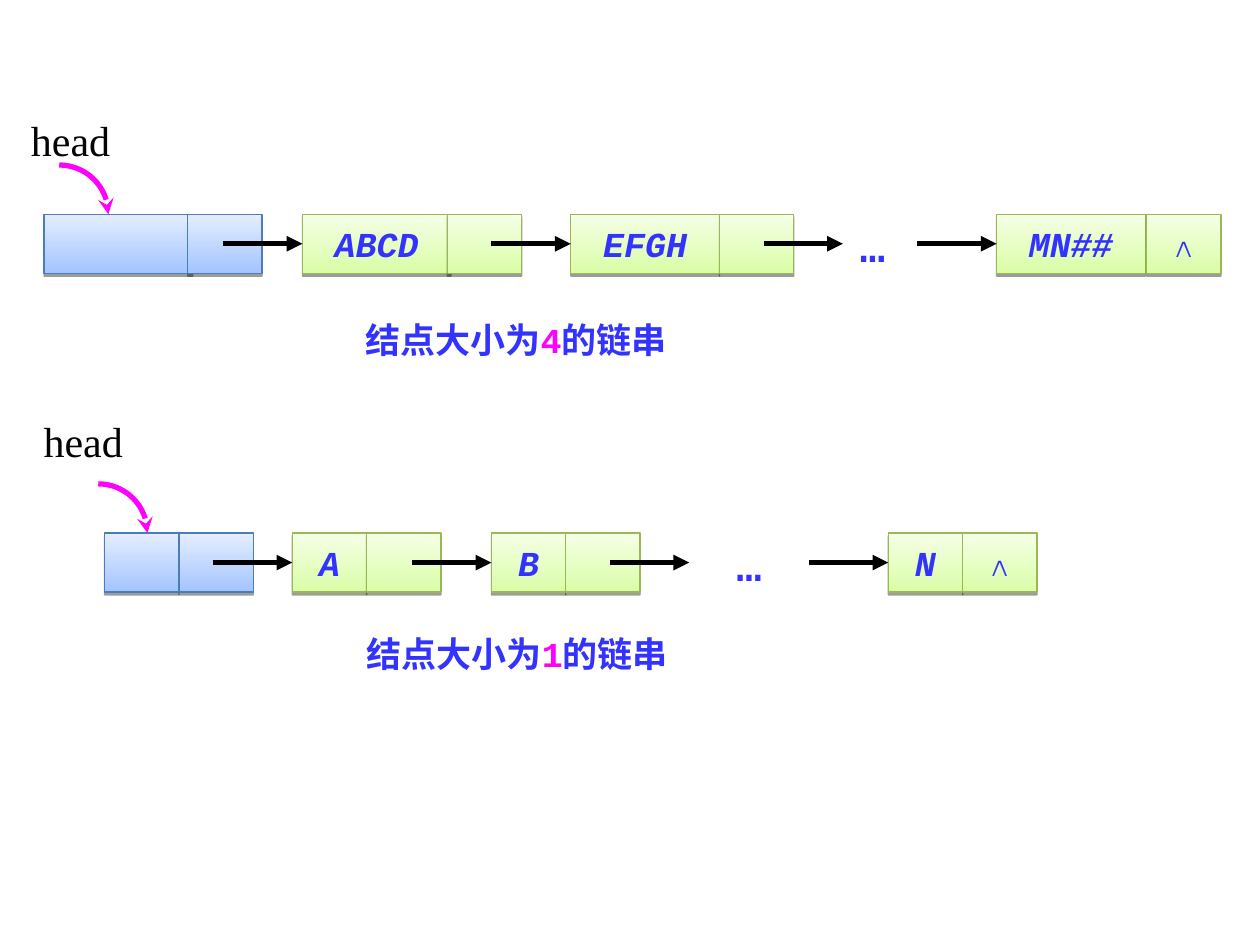
from math import cos, pi, sin

from lxml.etree import SubElement
from pptx import Presentation
from pptx.dml.color import RGBColor
from pptx.enum.shapes import MSO_CONNECTOR, MSO_SHAPE
from pptx.enum.text import MSO_ANCHOR, MSO_AUTO_SIZE, PP_ALIGN
from pptx.oxml.ns import qn
from pptx.util import Inches, Pt

COLORS = {
    "ink": "3333FF", "accent": "FF00FF", "label": "040404", "arrow": "000000",
    "head": ("A3C4FF", "E5EEFF", "4A7EBB"),
    "node": ("DAFDA7", "F5FFE6", "98B954"),
}
CODE, SERIF = "Courier New", "Times New Roman"
WIDTH, HEIGHT = Inches(10), Inches(7.5)
COLUMN, ROW = WIDTH / 10, HEIGHT / 7.5
CELL_HEIGHT, LINK_WIDTH = 0.47, 0.59
ARROW_LENGTH, CURVE_SIZE = 0.63, 0.39


def cols(count):
    return round(count * COLUMN)


def rows(count):
    return round(count * ROW)


def rgb(name):
    return RGBColor.from_string(COLORS.get(name, name))


def add_span(para, text, size, color="ink", font=CODE, bold=True, italic=False):
    span = para.add_run()
    span.text = text
    span.font.name, span.font.size = font, Pt(size)
    span.font.bold, span.font.italic = bold, italic
    span.font.color.rgb = rgb(color)


def add_text_box(page, left, top, width, height, align=PP_ALIGN.CENTER):
    """Add an empty wrapping box and return its paragraph."""
    box = page.shapes.add_textbox(cols(left), rows(top), cols(width), rows(height))
    box.text_frame.word_wrap = True
    box.text_frame.auto_size = MSO_AUTO_SIZE.SHAPE_TO_FIT_TEXT
    para = box.text_frame.paragraphs[0]
    para.alignment = align
    return para


def add_shadow(shape):
    shape.shadow.inherit = False
    effects = shape._element.spPr.find(qn("a:effectLst"))
    shadow = SubElement(effects, qn("a:outerShdw"), blurRad="0", dist=str(Pt(1.6)),
                        dir="5400000", rotWithShape="0")
    black = SubElement(shadow, qn("a:srgbClr"), val="000000")
    SubElement(black, qn("a:alpha"), val="38000")


def add_cell(page, left, top, width, kind, text="", italic=True):
    cell = page.shapes.add_shape(MSO_SHAPE.RECTANGLE, cols(left), rows(top),
                                 cols(width), rows(CELL_HEIGHT))
    *stops, edge = COLORS[kind]
    cell.fill.gradient()
    cell.fill.gradient_angle = 90
    for stop, color in zip(cell.fill.gradient_stops, stops):
        stop.color.rgb = rgb(color)
    cell.line.color.rgb = rgb(edge)
    cell.line.width = Pt(0.75)
    add_shadow(cell)
    if text:
        frame = cell.text_frame
        frame.word_wrap = False
        frame.vertical_anchor = MSO_ANCHOR.MIDDLE
        frame.paragraphs[0].alignment = PP_ALIGN.CENTER
        add_span(frame.paragraphs[0], text, 20, italic=italic)
    return cell


def style_arrow(arrow, color, tip):
    arrow.line.color.rgb = rgb(color)
    arrow.line.width = Pt(3)
    SubElement(arrow.line._get_or_add_ln(), qn("a:tailEnd"), type=tip)


def add_arrow(page, end, top, target=None):
    """Draw a pointer that stops at column end, joined to the target cell if any."""
    middle = rows(top + CELL_HEIGHT / 2)
    arrow = page.shapes.add_connector(MSO_CONNECTOR.STRAIGHT, cols(end - ARROW_LENGTH),
                                      middle, cols(end), middle)
    if target is not None:
        arrow.end_connect(target, 1)
    style_arrow(arrow, "arrow", "triangle")
    SubElement(arrow._element.spPr, qn("a:effectLst"))


def add_head_pointer(page, left, bottom, label_left, label_top):
    """Add the head label and the quarter curve that drops onto the first cell."""
    para = add_text_box(page, label_left, label_top, 1.02, 0.5)
    add_span(para, "head", 24, "label", SERIF, bold=False)
    steps = 24
    angles = [pi / 2 * step / steps for step in range(steps + 1)]
    points = [(cols(left + CURVE_SIZE * sin(angle)),
               rows(bottom - CURVE_SIZE * cos(angle))) for angle in angles]
    builder = page.shapes.build_freeform(*points[0])
    builder.add_line_segments(points[1:], close=False)
    curve = builder.convert_to_shape()
    curve.fill.background()
    curve.shadow.inherit = False
    style_arrow(curve, "accent", "stealth")


def add_caption(page, left, top, width, size):
    para = add_text_box(page, left, top, width, 0.44, PP_ALIGN.LEFT)
    for text, color in (("结点大小为", "ink"), (size, "accent"), ("的链串", "ink")):
        add_span(para, text, 20, color)


def add_chain(page, top, data_width, nodes, dots):
    """Draw a linked list; each node is (data column, link column, text)."""
    last = len(nodes) - 1
    for index, (left, link_left, text) in enumerate(nodes):
        kind = "node" if index else "head"
        data = add_cell(page, left, top, data_width, kind, text)
        add_cell(page, link_left, top, LINK_WIDTH, kind,
                 "∧" if index == last else "", italic=False)
        if index:
            add_arrow(page, left, top, data)
    add_arrow(page, nodes[-2][1] + 0.35 + ARROW_LENGTH, top)
    dots_left, dots_width = dots
    add_span(add_text_box(page, dots_left, top, dots_width, 0.5), "…", 24)


def main():
    deck = Presentation()
    deck.slide_width, deck.slide_height = WIDTH, HEIGHT
    page = deck.slides.add_slide(deck.slide_layouts[6])

    add_chain(page, 1.7, 1.18, [(0.35, 1.49, ""), (2.4, 3.55, "ABCD"),
                                (4.53, 5.71, "EFGH"), (7.91, 9.1, "MN##")], (6.57, 0.71))
    add_head_pointer(page, 0.47, 1.7, 0.05, 0.86)
    add_caption(page, 2.8, 2.48, 3.23, "4")

    lefts = (0.83, 2.32, 3.9, 7.05)
    single = [(left, left + LINK_WIDTH, text) for left, text in zip(lefts, ("", "A", "B", "N"))]
    add_chain(page, 4.23, LINK_WIDTH, single, (5.63, 0.63))
    add_head_pointer(page, 0.78, 4.23, 0.15, 3.25)
    add_caption(page, 2.81, 4.97, 2.83, "1")

    deck.save("out.pptx")


if __name__ == "__main__":
    main()
